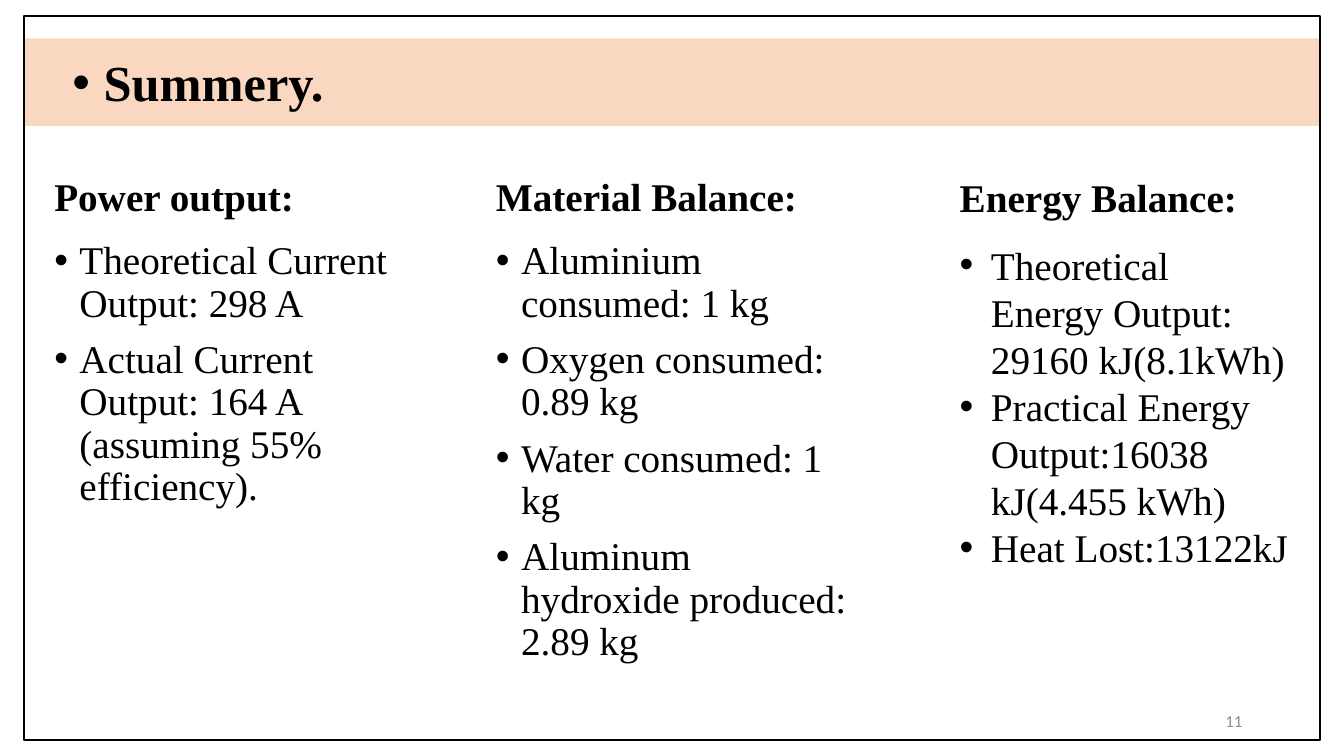
from lxml.etree import SubElement
from pptx import Presentation
from pptx.dml.color import RGBColor
from pptx.enum.shapes import MSO_SHAPE
from pptx.enum.text import MSO_ANCHOR, MSO_AUTO_SIZE, PP_ALIGN
from pptx.oxml.ns import qn
from pptx.util import Inches, Pt

COLORS = {"text": "000000", "band": "F4B183", "number": "8C8C8C"}
SERIF = "Times New Roman"

deck = Presentation()
deck.slide_width, deck.slide_height = Inches(13.33), Inches(7.5)
slide = deck.slides.add_slide(deck.slide_layouts[6])


def add_text(box, lines, size=28, bold=False, indent=0, tight=False,
             anchor=MSO_ANCHOR.TOP, font=SERIF, color="text"):
    """Add a text box; an indent in inches gives its lines bullets."""
    shape = slide.shapes.add_textbox(*[Inches(n) for n in box])
    frame = shape.text_frame
    frame.word_wrap = True
    frame.vertical_anchor = anchor
    frame.text = "\n".join(lines)
    for i, para in enumerate(frame.paragraphs):
        if indent:
            props = para._p.get_or_add_pPr()
            props.set("marL", str(Inches(indent)))
            props.set("indent", str(-Inches(indent)))
            SubElement(props, qn("a:buFont")).set("typeface", "Arial")
            SubElement(props, qn("a:buChar")).set("char", "•")
        if tight:
            para.line_spacing = 0.9
            para.space_before = Pt(10 if i else 0)
        for run in para.runs:
            run.font.name = font
            run.font.size = Pt(size)
            run.font.bold = bold
            run.font.color.rgb = RGBColor.from_string(COLORS[color])
    return frame


def add_rect(*box):
    shape = slide.shapes.add_shape(MSO_SHAPE.RECTANGLE, *[Inches(n) for n in box])
    shape.shadow.inherit = False
    return shape


# Slide number
number = add_text((9.42, 6.95, 3, 0.4), ["11"], size=12, anchor=MSO_ANCHOR.MIDDLE,
                  font="Calibri", color="number")
number.paragraphs[0].alignment = PP_ALIGN.RIGHT

# Title band, half transparent
band = add_rect(0.24, 0.38, 12.85, 0.87)
band.fill.solid()
band.fill.fore_color.rgb = RGBColor.from_string(COLORS["band"])
tint = band._element.spPr.find(qn("a:solidFill"))[0]
SubElement(tint, qn("a:alpha")).set("val", "50000")
band.line.fill.background()

title = add_text((0.62, 0.46, 2.72, 0.71), ["Summery."], size=36, bold=True, indent=0.31)
title.word_wrap = False
title.auto_size = MSO_AUTO_SIZE.SHAPE_TO_FIT_TEXT

# Slide border
border = add_rect(0.24, 0.16, 12.85, 7.18)
border.fill.background()
border.line.color.rgb = RGBColor.from_string(COLORS["text"])
border.line.width = Pt(1.5)

# Left and middle columns
columns = [
    (0.44, 4, "Power output:", [
        "Theoretical Current Output: 298 A",
        "Actual Current Output: 164 A (assuming 55% efficiency).",
    ]),
    (4.82, 3.75, "Material Balance:", [
        "Aluminium consumed: 1 kg",
        "Oxygen consumed: 0.89 kg",
        "Water consumed: 1 kg",
        "Aluminum hydroxide produced: 2.89 kg",
    ]),
]
for left, width, head, points in columns:
    add_text((left, 1.33, width, 0.9), [head], bold=True, tight=True,
             anchor=MSO_ANCHOR.BOTTOM)
    add_text((left, 2.34, width, 4.43), points, indent=0.25, tight=True)

# Right column
energy = [
    "Theoretical Energy Output: 29160 kJ(8.1kWh)",
    "Practical Energy Output:16038 kJ(4.455 kWh)",
    "Heat Lost:13122kJ",
]
for frame in (
    add_text((9.42, 1.67, 3, 0.57), ["Energy Balance:"], bold=True),
    add_text((9.42, 2.34, 3.48, 3.4), energy, indent=0.31),
):
    frame.auto_size = MSO_AUTO_SIZE.SHAPE_TO_FIT_TEXT

deck.save("out.pptx")
